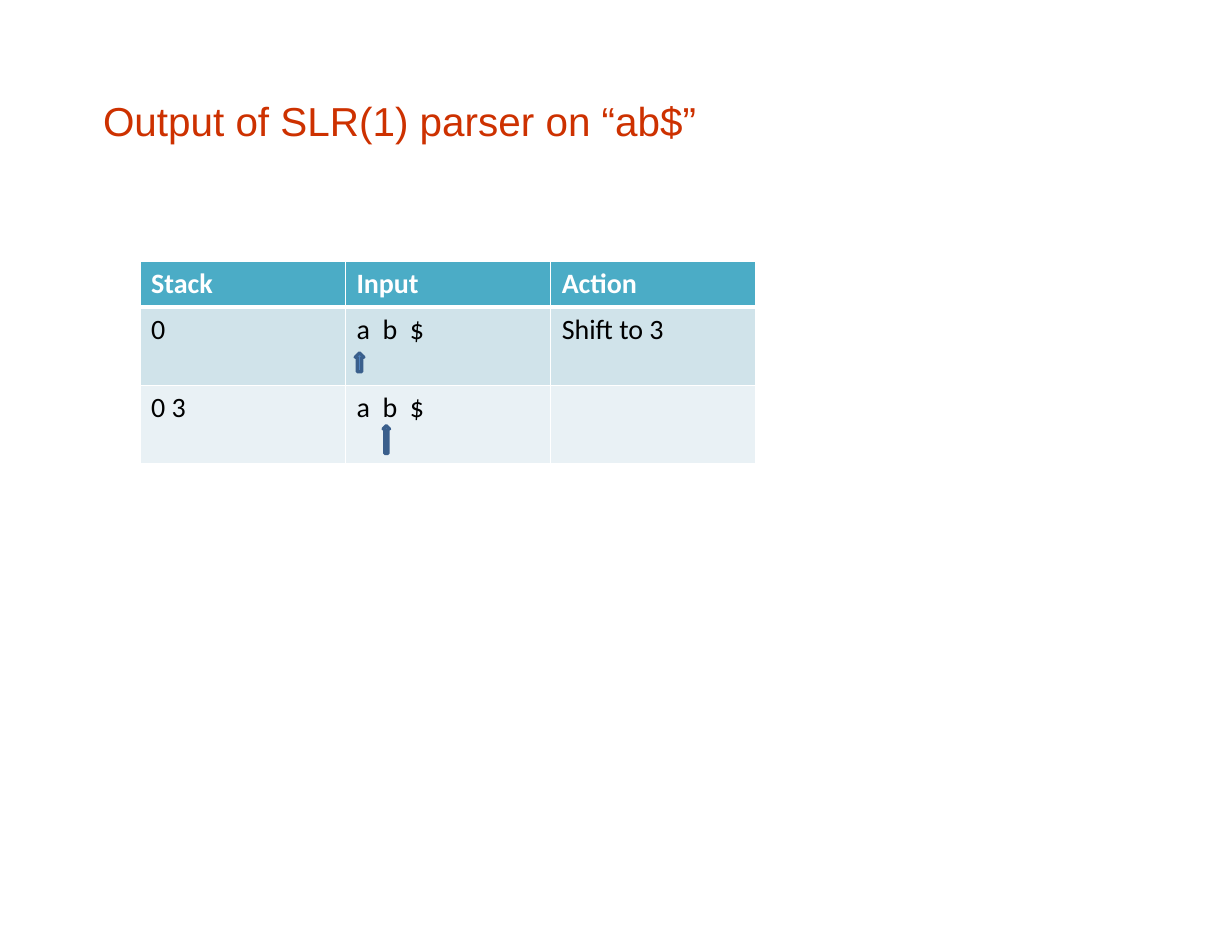
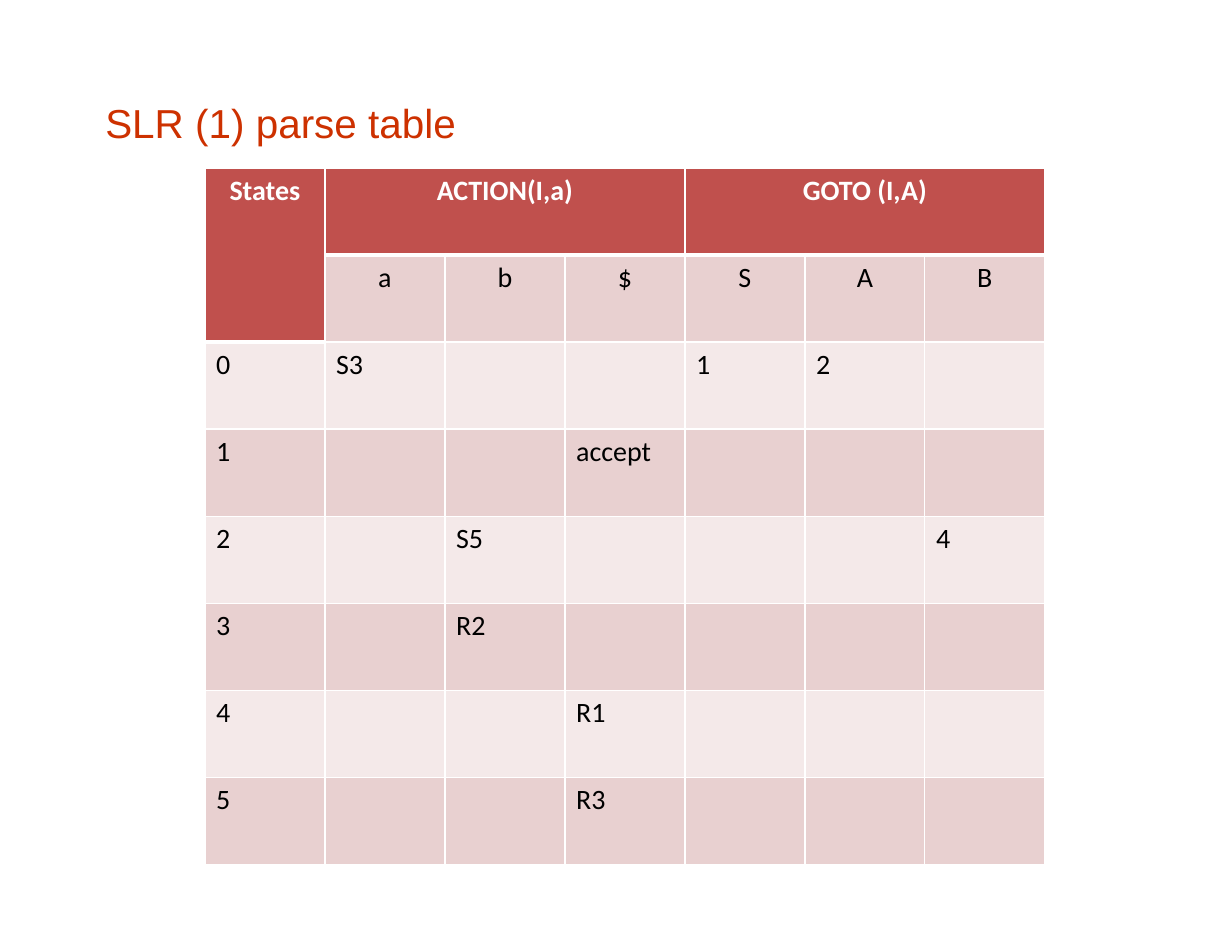
from lxml import etree
from pptx import Presentation
from pptx.dml.color import RGBColor
from pptx.enum.shapes import MSO_SHAPE
from pptx.enum.text import MSO_ANCHOR, MSO_AUTO_SIZE, PP_ALIGN
from pptx.oxml.ns import qn
from pptx.util import Inches, Pt

UP_ARROW = MSO_SHAPE.UP_ARROW
TOP = MSO_ANCHOR.TOP
NO_AUTOFIT = MSO_AUTO_SIZE.NONE
LEFT, CENTER = PP_ALIGN.LEFT, PP_ALIGN.CENTER
TITLE_ONLY_LAYOUT = 5

COLORS = {
    "title": "CD3100",
    "white": "FFFFFF",
    "black": "000000",
    "arrow": "4F81BD",
    "arrow_line": "3A5F8C",
}
BLUE_TABLE = {"header": "4BACC6", "bands": ("D0E3EA", "E9F1F5")}
RED_TABLE = {"header": "C0504D", "bands": ("E8D0D0", "F4E9E9")}

TITLE_FORMAT = {"name": "Arial", "size": Pt(26), "bold": False}
HEADER_FORMAT = {"name": "Calibri", "size": Pt(18), "bold": True}
BODY_FORMAT = {"name": "Calibri", "size": Pt(18), "bold": False}
THIN, THICK = Pt(1), Pt(3)

TRACE_ROWS = [
    ["Stack", "Input", "Action"],
    ["0", "a  b  $", "Shift to 3"],
    ["0 3", "a  b  $", ""],
]
PARSE_ROWS = [
    ["States", "ACTION(I,a)", "", "", "GOTO (I,A)", "", ""],
    ["", "a", "b", "$", "S", "A", "B"],
    ["0", "S3", "", "", "1", "2", ""],
    ["1", "", "", "accept", "", "", ""],
    ["2", "", "S5", "", "", "", "4"],
    ["3", "", "R2", "", "", "", ""],
    ["4", "", "", "R1", "", "", ""],
    ["5", "", "", "R3", "", "", ""],
]
PARSE_MERGES = [((0, 0), (1, 0)), ((0, 1), (0, 3)), ((0, 4), (0, 6))]


def rgb(value):
    return RGBColor.from_string(value)


def format_font(font, values, color):
    for name, value in values.items():
        setattr(font, name, value)
    font.color.rgb = rgb(color)


def add_titled_slide(presentation, text, width, inset=0):
    slide = presentation.slides.add_slide(presentation.slide_layouts[TITLE_ONLY_LAYOUT])
    title = slide.shapes.title
    title.left, title.top = Inches(0.92), Inches(0.86)
    title.width, title.height = Inches(width), Inches(0.45)
    frame = title.text_frame
    frame_format = {
        "margin_left": Inches(inset), "margin_top": Inches(inset),
        "margin_right": 0, "margin_bottom": 0,
        "vertical_anchor": TOP, "word_wrap": True, "auto_size": NO_AUTOFIT,
    }
    for name, value in frame_format.items():
        setattr(frame, name, value)
    paragraph = frame.paragraphs[0]
    paragraph.alignment = LEFT
    run = paragraph.add_run()
    run.text = text
    format_font(run.font, TITLE_FORMAT, COLORS["title"])
    return slide


def set_borders(cell, top, bottom):
    """Draw white cell borders; top and bottom are line widths."""
    properties = cell._tc.get_or_add_tcPr()
    for side, width in (("L", THIN), ("R", THIN), ("T", top), ("B", bottom)):
        line = etree.SubElement(properties, qn(f"a:ln{side}"), w=str(width))
        fill = etree.SubElement(line, qn("a:solidFill"))
        etree.SubElement(fill, qn("a:srgbClr"), val=COLORS["white"])


def fill_cell(cell, text, color, font_format, font_color, alignment):
    cell.fill.solid()
    cell.fill.fore_color.rgb = rgb(color)
    paragraph = cell.text_frame.paragraphs[0]
    paragraph.alignment = alignment
    if text:
        run = paragraph.add_run()
        run.text = text
        format_font(run.font, font_format, font_color)
    else:
        paragraph.font.size = font_format["size"]


def add_banded_table(slide, rows, position, width, heights, palette,
                     merges=(), centered_rows=0):
    """Add a table with equal columns, a header and alternating row fills."""
    column_count = len(rows[0])
    table = slide.shapes.add_table(
        len(rows), column_count, Inches(position[0]), Inches(position[1]),
        Inches(width), Inches(sum(heights))).table
    table.first_row = table.horz_banding = False
    for column in table.columns:
        column.width = Inches(width / column_count)
    for row, height in zip(table.rows, heights):
        row.height = Inches(height)

    headers = {(0, column) for column in range(column_count)}
    for (first_row, first_column), (last_row, last_column) in merges:
        table.cell(first_row, first_column).merge(table.cell(last_row, last_column))
        headers |= {(row, first_column) for row in range(first_row, last_row + 1)}

    for row, texts in enumerate(rows):
        alignment = CENTER if row < centered_rows else LEFT
        for column, text in enumerate(texts):
            cell = table.cell(row, column)
            is_header = (row, column) in headers
            below_header = (row - 1, column) in headers
            set_borders(cell, THICK if below_header else THIN,
                        THICK if is_header else THIN)
            if is_header:
                fill_cell(cell, text, palette["header"], HEADER_FORMAT,
                          COLORS["white"], alignment)
            else:
                fill_cell(cell, text, palette["bands"][(row - 1) % 2], BODY_FORMAT,
                          COLORS["black"], alignment)


def add_input_pointer(slide, left, top, width, height):
    arrow = slide.shapes.add_shape(
        UP_ARROW, Inches(left), Inches(top), Inches(width), Inches(height))
    arrow.shadow.inherit = False
    arrow.fill.solid()
    arrow.fill.fore_color.rgb = rgb(COLORS["arrow"])
    arrow.line.color.rgb = rgb(COLORS["arrow_line"])
    arrow.line.width = Pt(2)


def add_parser_output(presentation):
    slide = add_titled_slide(presentation, "Output of SLR(1) parser on “ab$”", 5.64)
    add_banded_table(slide, TRACE_ROWS, (1.25, 2.33), 5.5, [0.41, 0.7, 0.7], BLUE_TABLE)
    add_input_pointer(slide, 3.17, 3.15, 0.08, 0.17)
    add_input_pointer(slide, 3.42, 3.8, 0.06, 0.25)


def add_parse_table(presentation):
    slide = add_titled_slide(presentation, "SLR (1) parse table", 4.83, inset=0.02)
    add_banded_table(slide, PARSE_ROWS, (1.83, 1.5), 7.5, [6.22 / 8] * 8, RED_TABLE,
                     merges=PARSE_MERGES, centered_rows=2)


def main():
    presentation = Presentation()
    presentation.slide_width = Inches(11)
    presentation.slide_height = Inches(8.5)
    add_parser_output(presentation)
    add_parse_table(presentation)
    presentation.save("out.pptx")


if __name__ == "__main__":
    main()
